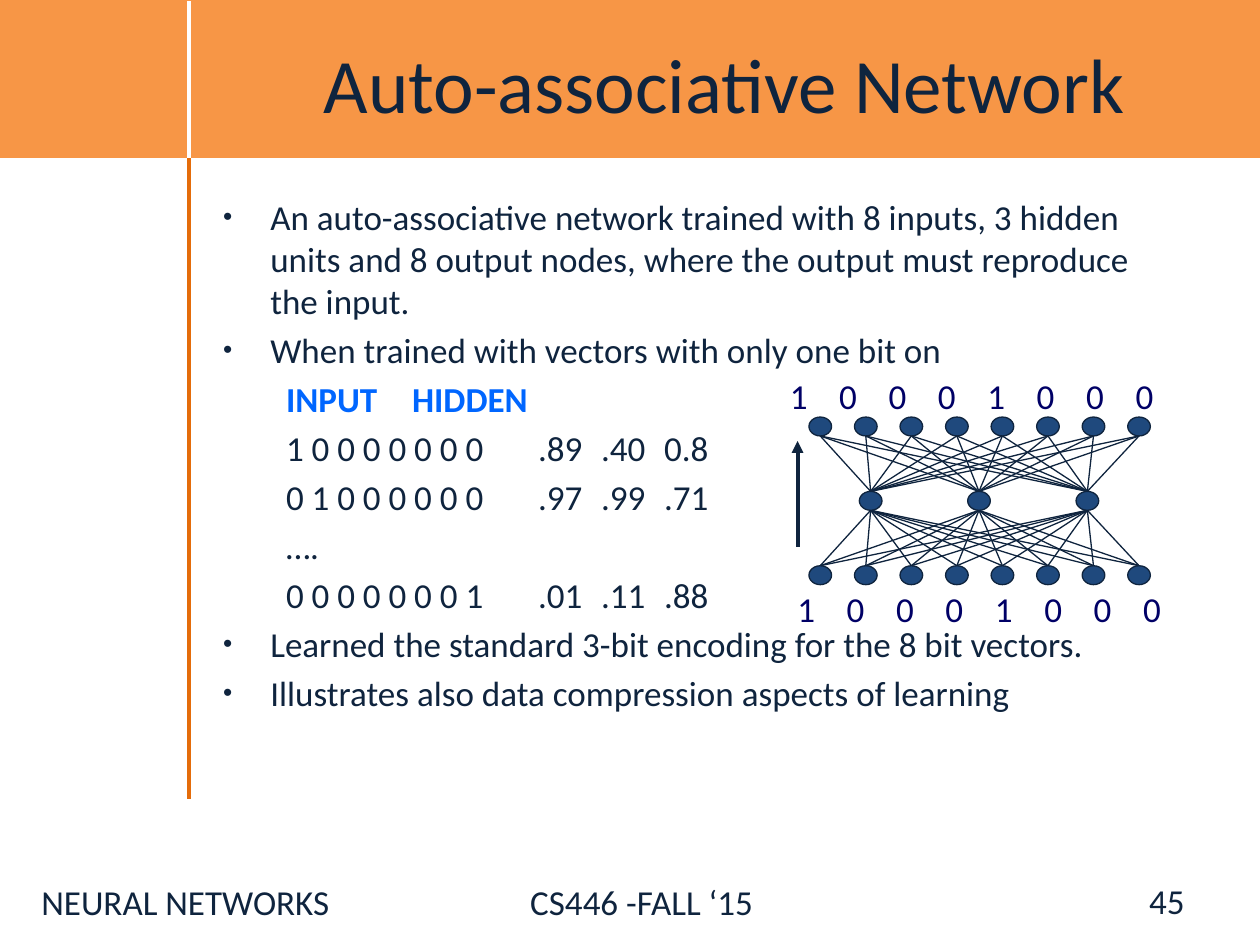
from dataclasses import dataclass
from itertools import product

from lxml import etree
from pptx import Presentation
from pptx import util as u
from pptx.dml.color import RGBColor
from pptx.enum import shapes, text
from pptx.oxml import ns


@dataclass(frozen=True)
class Theme:
    font: str = "Calibri"
    ink: str = "0F243E"
    band: str = "F79646"
    rule: str = "E46C0A"
    paper: str = "FFFFFF"
    node: str = "1F497D"
    digits: str = "000066"
    heading: str = "0066FF"
    title_size: int = 44
    text_size: int = 20
    thin: float = 0.75
    arrow: float = 2.25
    thick: float = 2.5


@dataclass(frozen=True)
class Box:
    left: float
    top: float
    width: float
    height: float

    def inner(self, left, top, width, height):
        return Box(self.left + left, self.top + top, width, height)

    def emu(self):
        return [cells(n) for n in (self.left, self.top, self.width, self.height)]


THEME = Theme()
COLUMNS, ROWS = 100, 75
CELL = u.Inches(0.1)
BITS = "1 0 0 0 1 0 0 0".split()
BIT_TABS = [3.92 * step for step in range(1, len(BITS))]
TABLE_TABS = [3.1, 21.3, 26.7, 31.4]
HEADING_TABS = [7.5, 24.8]
BODY = [
    ("bullet", "An auto-associative network trained with 8 inputs, 3 hidden units "
               "and 8 output nodes, where the output must reproduce the input."),
    ("bullet", "When trained with vectors with only one bit on"),
    ("heading", "\tINPUT\tHIDDEN"),
    ("row", "\t1 0 0 0 0 0 0 0\t.89\t.40\t0.8"),
    ("row", "\t0 1 0 0 0 0 0 0\t.97\t.99\t.71"),
    ("row", "\t…."),
    ("row", "\t0 0 0 0 0 0 0 1\t.01\t.11\t.88"),
    ("bullet", "Learned the standard 3-bit encoding for the 8 bit vectors."),
    ("bullet", "Illustrates also data compression aspects of learning"),
]


def cells(count):
    return round(count * CELL)


def assign(target, values):
    for name, value in values.items():
        setattr(target, name, value)


def add_xml(parent, tag, **attributes):
    return etree.SubElement(parent, ns.qn(tag), attributes)


def write(paragraph, words, size=THEME.text_size, color=THEME.ink, bold=False):
    run = paragraph.add_run()
    run.text = words
    assign(run.font, {"name": THEME.font, "size": u.Pt(size), "bold": bold})
    run.font.color.rgb = RGBColor.from_string(color)


def set_indent(paragraph, margin, first_line):
    properties = paragraph._p.get_or_add_pPr()
    properties.set("marL", str(cells(margin)))
    properties.set("indent", str(cells(first_line)))
    return properties


def set_tabs(paragraph, stops):
    tabs = add_xml(paragraph._p.get_or_add_pPr(), "a:tabLst")
    for stop in stops:
        add_xml(tabs, "a:tab", pos=str(cells(stop)), algn="l")


def set_bullet(paragraph):
    properties = set_indent(paragraph, 3.75, -3.75)
    add_xml(properties, "a:buSzPct", val="75000")
    add_xml(properties, "a:buChar", char="•")


def set_plain(paragraph, stops):
    add_xml(set_indent(paragraph, 0, 0), "a:buNone")
    set_tabs(paragraph, stops)


def add_label(canvas, box, words, stops=(), color=THEME.ink, **layout):
    label = canvas.add_textbox(*box.emu())
    assign(label.text_frame, {"word_wrap": True, **layout})
    paragraph = label.text_frame.paragraphs[0]
    if stops:
        set_tabs(paragraph, stops)
    write(paragraph, words, color=color)
    return paragraph


def add_solid(canvas, kind, box, fill, outline):
    solid = canvas.add_shape(kind, *box.emu())
    solid.shadow.inherit = False
    solid.fill.solid()
    solid.fill.fore_color.rgb = RGBColor.from_string(fill)
    solid.line.color.rgb = RGBColor.from_string(outline)
    solid.line.width = u.Pt(THEME.thin)
    return solid


def add_line(canvas, start, end, color=THEME.ink, width=THEME.thin):
    line = canvas.add_connector(shapes.MSO_CONNECTOR.STRAIGHT,
                                *map(cells, (*start, *end)))
    line.line.color.rgb = RGBColor.from_string(color)
    line.line.width = u.Pt(width)
    add_xml(line.element.spPr, "a:effectLst")
    return line


def place(holder, box):
    assign(holder, dict(zip(("left", "top", "width", "height"), box.emu())))
    assign(holder.text_frame, {"word_wrap": True,
                               "auto_size": text.MSO_AUTO_SIZE.NONE})


def header(slide, box, rule_left, rule_end):
    title = slide.shapes.title
    backdrop = [
        add_solid(slide.shapes, shapes.MSO_SHAPE.RECTANGLE, box, THEME.band, THEME.band),
        add_line(slide.shapes, (rule_left, box.height), (rule_left, rule_end),
                 THEME.rule, THEME.thick),
        add_line(slide.shapes, (rule_left, 0.1), (rule_left, box.height),
                 THEME.paper, THEME.thick),
    ]
    for piece in backdrop:
        title.element.addprevious(piece.element)
    place(title, box.inner(rule_left, 0.3, box.width - rule_left, box.height))
    title.text_frame.vertical_anchor = text.MSO_ANCHOR.MIDDLE
    heading = title.text_frame.paragraphs[0]
    heading.alignment = text.PP_ALIGN.CENTER
    write(heading, "Auto-associative Network", THEME.title_size)


def body(slide, box):
    holder = slide.placeholders[1]
    place(holder, box)
    frame = holder.text_frame
    for index, (role, words) in enumerate(BODY):
        paragraph = frame.add_paragraph() if index else frame.paragraphs[0]
        is_heading = role == "heading"
        if role == "bullet":
            set_bullet(paragraph)
        else:
            set_plain(paragraph, HEADING_TABS if is_heading else TABLE_TABS)
        paragraph.space_before = u.Pt(4 if index else 0)
        write(paragraph, words, color=THEME.heading if is_heading else THEME.ink,
              bold=is_heading)


def network(slide, box):
    canvas = slide.shapes.add_group_shape().shapes
    node_width, node_height = 1.8, 1.5
    outer = [box.left + 3.4 + 25.3 * step / 7 for step in range(8)]
    hidden = [box.left + 7.4 + 8.6 * step for step in range(3)]
    layers = [(outer, box.top + 4.65), (hidden, box.top + 10.55),
              (outer, box.top + 16.45)]
    for (upper, upper_y), (lower, lower_y) in zip(layers, layers[1:]):
        for start, end in product(upper, lower):
            add_line(canvas, (start, upper_y + node_height / 2),
                     (end, lower_y - node_height / 2))
    for centers, y in layers:
        for x in centers:
            node = Box(x - node_width / 2, y - node_height / 2, node_width, node_height)
            add_solid(canvas, shapes.MSO_SHAPE.OVAL, node, THEME.node, THEME.ink)
    arrow_x = box.left + 1.6
    flow = add_line(canvas, (arrow_x, box.top + 14.2), (arrow_x, box.top + 5.8),
                    width=THEME.arrow)
    add_xml(flow.element.spPr.find(ns.qn("a:ln")), "a:tailEnd", type="triangle")
    for left, top in ((0.6, 16.9), (0, 0)):
        add_label(canvas, box.inner(left, top, 32.7, 3.6), "\t".join(BITS), BIT_TABS,
                  THEME.digits)


def footer(slide, box):
    add_label(slide.shapes, box, "NEURAL NETWORKS\tCS446 -FALL ‘15", [38.8])
    number = add_label(slide.shapes, box.inner(69.4, 0.1, 23.3, 4), "45",
                       vertical_anchor=text.MSO_ANCHOR.MIDDLE)
    number.alignment = text.PP_ALIGN.RIGHT


def main():
    deck = Presentation()
    assign(deck, {"slide_width": cells(COLUMNS), "slide_height": cells(ROWS)})
    slide = deck.slides.add_slide(deck.slide_layouts[1])
    header(slide, Box(0, 0, COLUMNS, 12.5), 15, 63.4)
    body(slide, Box(16.7, 15, 78.3, 49.5))
    network(slide, Box(61.7, 29.2, 33.3, 20.5))
    footer(slide, Box(2.3, 69.4, 96, 5.6))
    deck.save("out.pptx")


if __name__ == "__main__":
    main()
